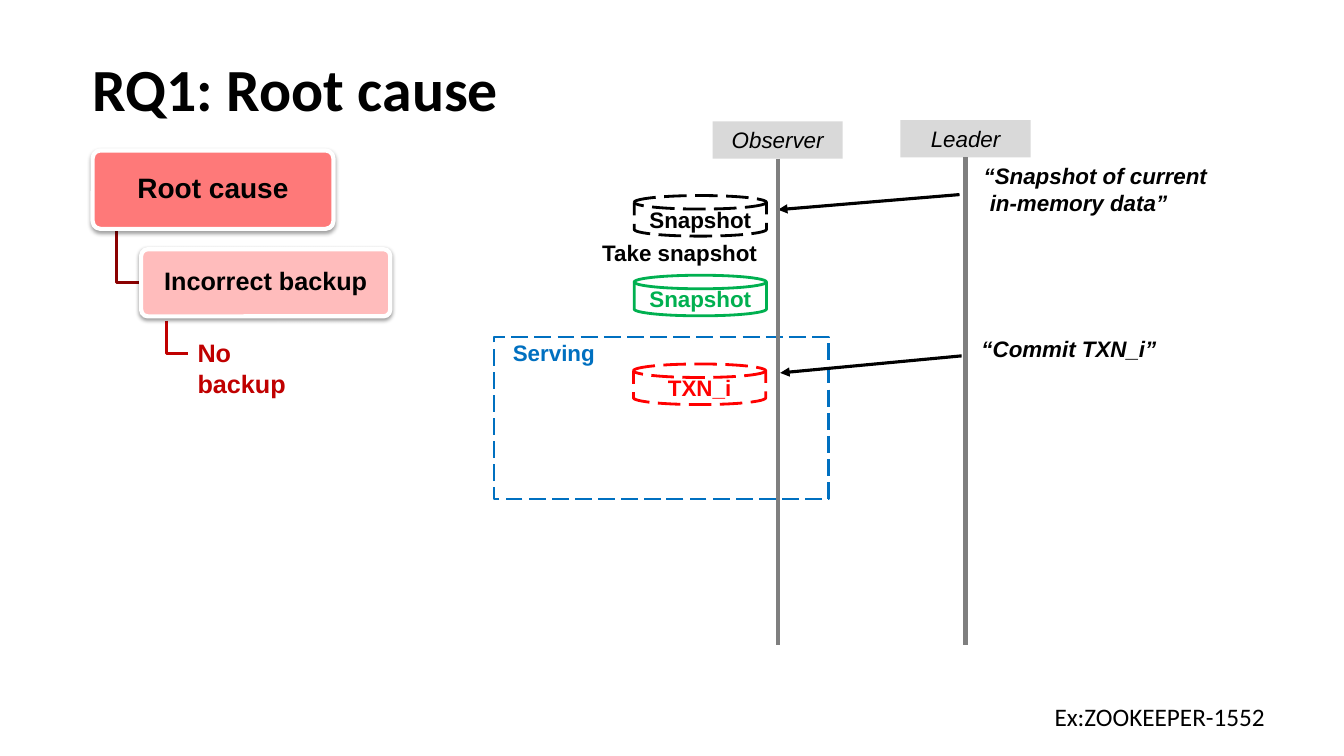
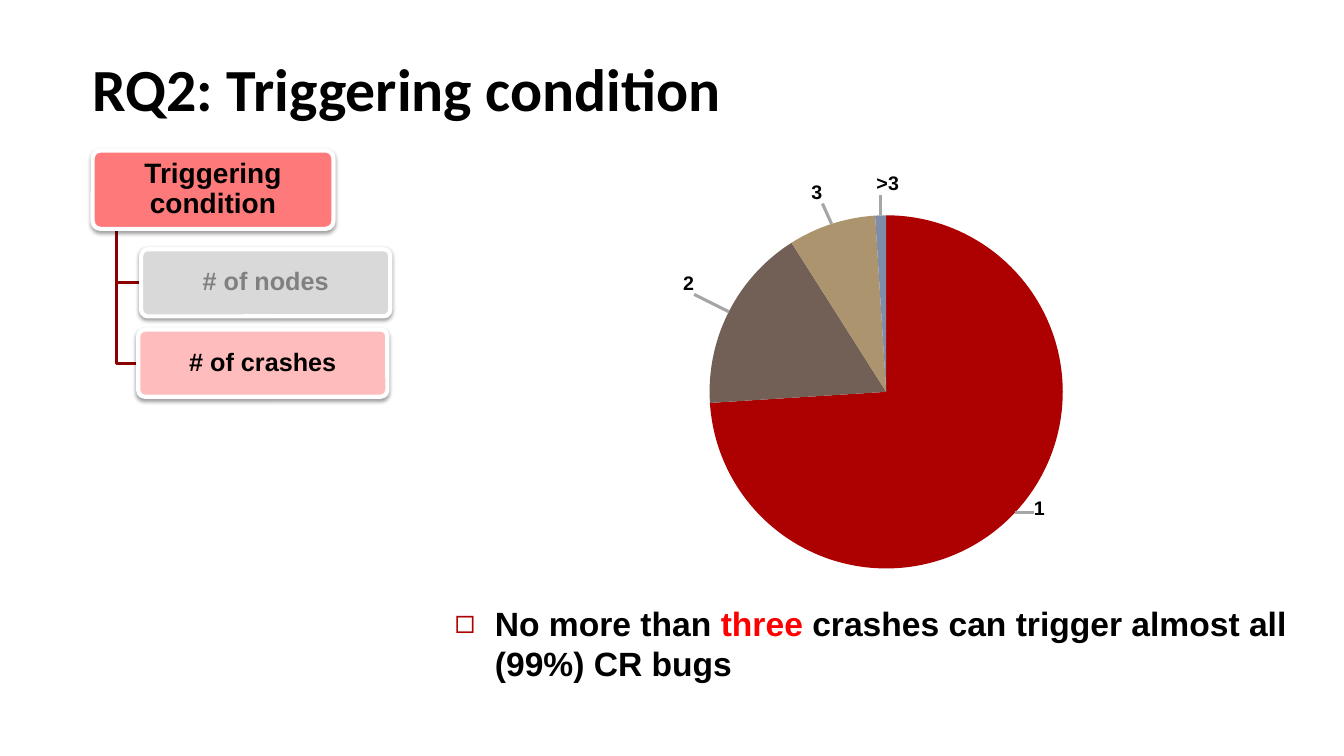
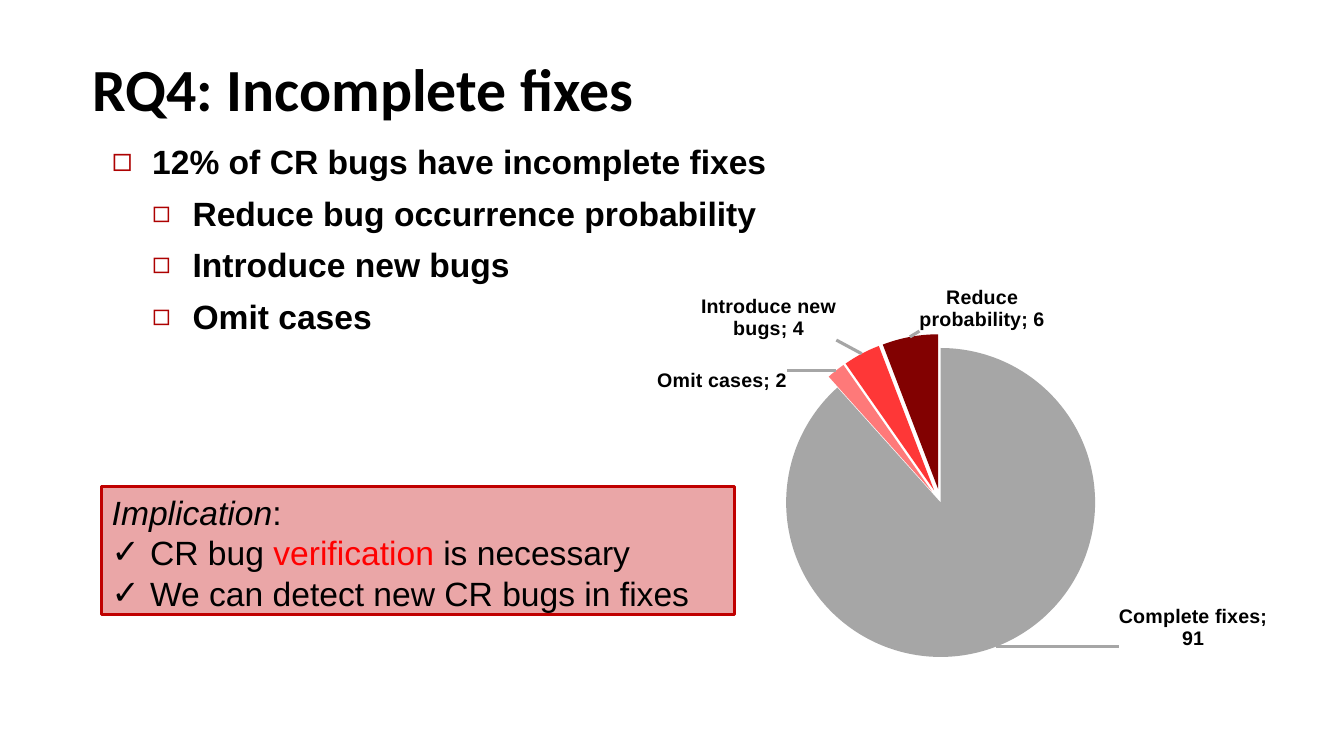
"""Build three slides on the causes, triggers and fixes of crash-recovery bugs."""
import dataclasses

import lxml.etree
import pptx
import pptx.chart.data
import pptx.dml.color
import pptx.enum.chart
import pptx.enum.dml
import pptx.enum.shapes
import pptx.enum.text
import pptx.oxml
import pptx.oxml.ns
import pptx.util

Pt = pptx.util.Pt
SHAPE = pptx.enum.shapes.MSO_SHAPE
ALIGN = pptx.enum.text.PP_ALIGN
ANCHOR = pptx.enum.text.MSO_ANCHOR
qn = pptx.oxml.ns.qn
rgb = pptx.dml.color.RGBColor.from_string


@dataclasses.dataclass(frozen=True)
class Theme:
    black: str = "000000"
    white: str = "FFFFFF"
    red: str = "FF0000"
    crimson: str = "C00000"
    accent: str = "AD0101"
    dark_red: str = "8B0101"
    root: str = "FE7979"
    child: str = "FFBCBC"
    panel: str = "EAA6A7"
    light_gray: str = "D9D9D9"
    mid_gray: str = "A6A6A6"
    gray: str = "808080"
    lifeline: str = "7F7F7F"
    green: str = "00B050"
    blue: str = "0070C0"
    font: str = "Arial"
    title_font: str = "Calibri"
    title: float = 42.7
    body: float = 24
    heading: float = 20
    normal: float = 18
    label: float = 16
    chart: float = 14


theme = Theme()


def add_box(slide, kind, bounds, fill=None, line=None, width=2, dashed=False):
    """Add a flat preset shape."""
    shape = slide.shapes.add_shape(kind, *map(Pt, bounds))
    shape.shadow.inherit = False
    if fill:
        shape.fill.solid()
        shape.fill.fore_color.rgb = rgb(fill)
    else:
        shape.fill.background()
    if line:
        shape.line.color.rgb = rgb(line)
        shape.line.width = Pt(width)
    else:
        shape.line.fill.background()
    if dashed:
        shape.line.dash_style = pptx.enum.dml.MSO_LINE.LONG_DASH
    return shape


def write(shape, paragraphs, size, colour=theme.black, bold=False, italic=False,
          align=ALIGN.LEFT, anchor=ANCHOR.TOP, font=theme.font):
    """Fill a shape with paragraphs, each a list of (text, colour or None) runs."""
    frame = shape.text_frame
    frame.word_wrap = True
    frame.auto_size = pptx.enum.text.MSO_AUTO_SIZE.NONE
    frame.vertical_anchor = anchor
    for index, runs in enumerate(paragraphs):
        paragraph = frame.add_paragraph() if index else frame.paragraphs[0]
        paragraph.alignment = align
        paragraph.space_before = Pt(0)
        for text, own_colour in runs:
            run = paragraph.add_run()
            run.text = text
            run.font.name = font
            run.font.size = Pt(size)
            run.font.bold = bold
            run.font.italic = italic
            run.font.color.rgb = rgb(own_colour or colour)
    return frame.paragraphs


presentation = pptx.Presentation()
presentation.slide_width = Pt(960)
presentation.slide_height = Pt(540)

slides = []
for title, layout in (("RQ1: Root cause", 5), ("RQ2: Triggering condition", 1),
                      ("RQ4: Incomplete fixes", 1)):
    slide = presentation.slides.add_slide(presentation.slide_layouts[layout])
    shape = slide.shapes.title
    shape.left, shape.top, shape.width, shape.height = map(Pt, (59, 24.5, 852.5, 67))
    heading = write(shape, [[(title, None)]], theme.title, bold=True,
                    anchor=ANCHOR.BOTTOM, font=theme.title_font)[0]
    heading.line_spacing = Pt(46.7)
    slides.append(slide)
cause_slide, trigger_slide, fix_slide = slides

ROOT_BOX = (66.2, 107.5, 172, 56)
BACKUP_BOX = (100.8, 178, 178, 48)
CRASH_BOX = (98.7, 235.4, 178, 48)
for slide, start, end, colour, width in (
        (cause_slide, (83.5, 163.5), (100.8, 202), theme.dark_red, 2),
        (cause_slide, (118.8, 229), (134, 252.7), theme.crimson, 2.25),
        (trigger_slide, (83.5, 163.5), (100.8, 202), theme.dark_red, 2),
        (trigger_slide, (83.5, 163.5), (98.7, 259.4), theme.dark_red, 2)):
    builder = slide.shapes.build_freeform(Pt(start[0]), Pt(start[1]), scale=1.0)
    builder.add_line_segments([(Pt(start[0]), Pt(end[1])), (Pt(end[0]), Pt(end[1]))],
                              close=False)
    branch = builder.convert_to_shape()
    branch.shadow.inherit = False
    branch.fill.background()
    branch.line.color.rgb = rgb(colour)
    branch.line.width = Pt(width)

for slide, text, bounds, fill, colour, size in (
        (cause_slide, "Root cause", ROOT_BOX, theme.root, theme.black, theme.heading),
        (cause_slide, "Incorrect backup", BACKUP_BOX, theme.child, theme.black, theme.normal),
        (trigger_slide, "Triggering condition", ROOT_BOX, theme.root, theme.black, theme.heading),
        (trigger_slide, "# of nodes", BACKUP_BOX, theme.light_gray, theme.gray, theme.normal),
        (trigger_slide, "# of crashes", CRASH_BOX, theme.child, theme.black, theme.normal)):
    node = add_box(slide, SHAPE.ROUNDED_RECTANGLE, bounds, fill, theme.white, 3)
    node.adjustments[0] = 0.1
    effects = node.element.spPr.find(qn("a:effectLst"))
    shadow = lxml.etree.SubElement(effects, qn("a:outerShdw"), blurRad=str(Pt(3.1)),
                                   dist=str(Pt(1.6)), dir="5400000", rotWithShape="0")
    tint = lxml.etree.SubElement(shadow, qn("a:srgbClr"), val=theme.black)
    lxml.etree.SubElement(tint, qn("a:alpha"), val="38000")
    label = write(node, [[(text, None)]], size, colour, bold=True,
                  align=ALIGN.CENTER, anchor=ANCHOR.MIDDLE)[0]
    label.line_spacing = 0.9

add_box(cause_slide, SHAPE.RECTANGLE, (352.8, 240.5, 239, 116), None, theme.blue, 1.5, True)

lines = [((685.4, 139), (555.8, 149.8), theme.black, 2.25, None),
         ((686.9, 254.2), (557.3, 266.4), theme.black, 2.25, None)]
for text, left, top in (("Observer", 509, 86.8), ("Leader", 643.2, 85.8)):
    header = add_box(cause_slide, SHAPE.RECTANGLE, (left, top, 93, 26.6), theme.light_gray)
    write(header, [[(text, None)]], theme.label, italic=True, align=ALIGN.CENTER)
    middle = left + 46.5
    lines.append(((middle, top + 26.6), (middle, 461), theme.lifeline, 3, header))

for start, end, colour, width, header in lines:
    connector = cause_slide.shapes.add_connector(
        pptx.enum.shapes.MSO_CONNECTOR.STRAIGHT, *map(Pt, start + end))
    connector.line.color.rgb = rgb(colour)
    connector.line.width = Pt(width)
    properties = connector.element.spPr
    if header:
        connector.begin_connect(header, 2)
    else:
        lxml.etree.SubElement(properties.find(qn("a:ln")), qn("a:tailEnd"), type="triangle")
    lxml.etree.SubElement(properties, qn("a:effectLst"))

for text, left, top, colour, dashed in (
        ("Snapshot", 453, 139.7, theme.black, True),
        ("Snapshot", 453, 196.6, theme.green, False),
        ("TXN_i", 452.5, 260, theme.red, True)):
    disk = add_box(cause_slide, SHAPE.FLOWCHART_MAGNETIC_DISK, (left, top, 94.5, 29),
                   theme.white, colour, 2, dashed)
    write(disk, [[(text, None)]], theme.label, colour, bold=True,
          align=ALIGN.CENTER, anchor=ANCHOR.MIDDLE)

for texts, bounds, style in (
        (["No backup"], (134, 237.6, 99, 50),
         dict(size=theme.normal, colour=theme.crimson, bold=True)),
        (["“Snapshot of current", "in-memory data”"], (695.5, 112.3, 190, 46),
         dict(size=theme.label, bold=True, italic=True)),
        (["Take snapshot"], (401.8, 167, 146, 26.6),
         dict(size=theme.label, bold=True, align=ALIGN.RIGHT)),
        (["Serving"], (359.3, 239, 89, 26.6),
         dict(size=theme.label, colour=theme.blue, bold=True)),
        (["“Commit TXN_i”"], (694, 236.2, 169, 26.6),
         dict(size=theme.label, bold=True, italic=True)),
        (["Ex:ZOOKEEPER-1552"], (735.8 + 0.1, 497.5, 185, 30),
         dict(size=theme.normal, font=theme.title_font, align=ALIGN.CENTER))):
    box = cause_slide.shapes.add_textbox(*map(Pt, bounds))
    paragraphs = write(box, [[(text, None)] for text in texts], **style)
    for paragraph in paragraphs[1:]:
        paragraph.alignment = ALIGN.LEFT
        paragraph._p.get_or_add_pPr().set("marL", str(Pt(4.4)))

lists = []
for slide, bounds, items in (
        (trigger_slide, (317.5, 427, 625.7, 63.4),
         [[("No more than ", None), ("three", theme.red),
           (" crashes can trigger almost all (99%) CR bugs", None)]]),
        (fix_slide, (72.7, 97.2, 814.3, 143.3),
         [[(text, None)] for text in (
             "12% of CR bugs have incomplete fixes", "Reduce bug occurrence probability",
             "Introduce new bugs", "Omit cases")])):
    body = slide.placeholders[1]
    body.left, body.top, body.width, body.height = map(Pt, bounds)
    paragraphs = write(body, items, theme.body, bold=True)
    lists.append((paragraphs[0], "◻", theme.accent, 28.8, 28.8, 100))
    for paragraph in paragraphs[1:]:
        paragraph.level = 1
        paragraph.space_before = Pt(8)
        lists.append((paragraph, "◻", theme.accent, 57.6, 28.8, 90))

panel = add_box(fix_slide, SHAPE.RECTANGLE, (72.7, 347.8, 452.2, 91.4),
                theme.panel, theme.crimson, 2.25)
paragraphs = write(panel, [
    [("Implication", None), (":", None)],
    [("CR bug ", None), ("verification", theme.red), (" is necessary", None)],
    [("We can detect new CR bugs in fixes", None)]], theme.body, align=ALIGN.JUSTIFY)
paragraphs[0].runs[0].font.italic = True
lists += [(paragraph, "✓", theme.black, 27.4, 27.4, 100) for paragraph in paragraphs[1:]]

for paragraph, character, colour, indent, hanging, percent in lists:
    properties = paragraph._p.get_or_add_pPr()
    properties.set("marL", str(Pt(indent)))
    properties.set("indent", str(-Pt(hanging)))
    bullet_colour = lxml.etree.SubElement(properties, qn("a:buClr"))
    lxml.etree.SubElement(bullet_colour, qn("a:srgbClr"), val=colour)
    lxml.etree.SubElement(properties, qn("a:buSzPct"), val=str(percent * 1000))
    lxml.etree.SubElement(properties, qn("a:buFont"), typeface=theme.font)
    lxml.etree.SubElement(properties, qn("a:buChar"), char=character)

namespaces = pptx.oxml.ns.nsdecls("c", "a")
layout_xml = "<c:layout %s><c:manualLayout>%s</c:manualLayout></c:layout>"
for slide, bounds, plot_area, show_value, explosion, points in (
        (trigger_slide, (386, 91.4, 525.6, 349.2), (0.23, 0.14, 0.48, 0.8), False, 0,
         (("1", 74, theme.accent, 0.02, -0.04), ("2", 17, "726056", -0.04, -0.03),
          ("3", 8, "AC956E", -0.01, -0.03), (">3", 1, "808DA9", 0.01, -0.03))),
        (fix_slide, (378, 200.2, 539.3, 302.4), (0.34, 0.16, 0.41, 0.73), True, 9,
         (("Complete fixes", 91, theme.mid_gray, 0.16, -0.11),
          ("Omit cases", 2, theme.root, -0.06, 0.06),
          ("Introduce new bugs", 4, "FE3737", -0.03, -0.02),
          ("Reduce probability", 6, "820101", 0.18, 0)))):
    data = pptx.chart.data.CategoryChartData()
    data.categories = [point[0] for point in points]
    data.add_series("Series 1", [point[1] for point in points])
    chart = slide.shapes.add_chart(pptx.enum.chart.XL_CHART_TYPE.PIE,
                                   *map(Pt, bounds), data).chart
    chart.has_legend = False
    chart.has_title = False
    chart.font.name = theme.font
    chart.font.size = Pt(theme.chart)
    chart.font.color.rgb = rgb(theme.black)
    plot = chart.plots[0]
    plot.vary_by_categories = True
    series = plot.series[0]
    series.data_labels.show_category_name = True
    series.data_labels.show_value = show_value
    for index, (category, value, colour, shift_x, shift_y) in enumerate(points):
        point = series.points[index]
        point.format.fill.solid()
        point.format.fill.fore_color.rgb = rgb(colour)
        label = point.data_label
        label.font.bold = True
        label.font.name = theme.font
        label.font.size = Pt(theme.chart)
        label.font.color.rgb = rgb(theme.black)
        label.position = pptx.enum.chart.XL_LABEL_POSITION.OUTSIDE_END
        element = chart.element.xpath(".//c:ser/c:dLbls/c:dLbl")[index]
        element.find(qn("c:showCatName")).set("val", "1")
        element.find(qn("c:showVal")).set("val", str(int(show_value)))
        element.insert(1, pptx.oxml.parse_xml(layout_xml % (
            namespaces, f'<c:x val="{shift_x}"/><c:y val="{shift_y}"/>')))
        lxml.etree.SubElement(element, qn("c:separator")).text = "; "
        if explosion and index:
            slice_element = chart.element.xpath(".//c:ser/c:dPt")[index]
            slice_element.insert(1, pptx.oxml.parse_xml(
                f'<c:explosion {namespaces} val="{explosion}"/>'))
    chart.element.xpath(".//c:ser/c:dLbls")[0].append(pptx.oxml.parse_xml(
        f'<c:leaderLines {namespaces}><c:spPr><a:ln w="{Pt(2.25)}"><a:solidFill>'
        f'<a:srgbClr val="{theme.mid_gray}"/></a:solidFill></a:ln></c:spPr></c:leaderLines>'))
    area = chart.element.xpath(".//c:plotArea")[0]
    for old_layout in area.findall(qn("c:layout")):
        area.remove(old_layout)
    frame_xml = ('<c:layoutTarget val="inner"/><c:xMode val="edge"/><c:yMode val="edge"/>'
                 + "".join(f'<c:{name} val="{share}"/>'
                           for name, share in zip("xywh", plot_area)))
    area.insert(0, pptx.oxml.parse_xml(layout_xml % (namespaces, frame_xml)))

presentation.save("out.pptx")
